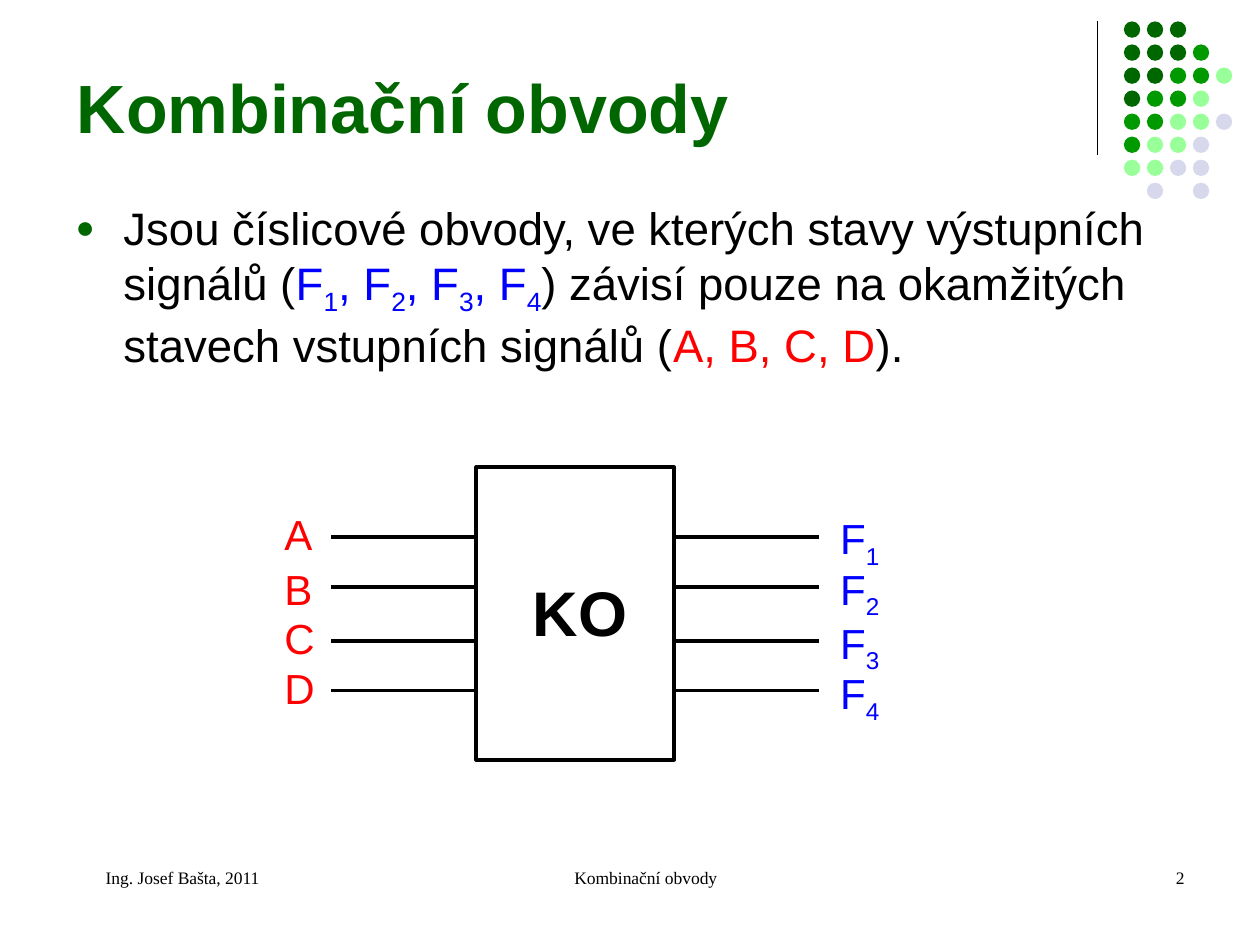
from lxml.etree import SubElement
from pptx import Presentation
from pptx.dml.color import RGBColor
from pptx.enum.shapes import MSO_CONNECTOR as CONNECTOR, MSO_SHAPE as SHAPE
from pptx.enum.text import MSO_ANCHOR as ANCHOR, MSO_AUTO_SIZE as AUTO_SIZE, PP_ALIGN as ALIGN
from pptx.oxml.ns import qn
from pptx.util import Inches, Pt

COLORS = {
    "ink": "000000", "input": "FF0000", "output": "0000FF",
    "dark": "006600", "mid": "009900", "light": "99FF99", "pale": "D8D8EC",
}
FORMATS = {
    "title": {"name": "Arial", "size": Pt(39), "bold": True},
    "body": {"name": "Arial", "size": Pt(26), "bold": False},
    "label": {"name": "Arial", "size": Pt(24), "bold": False},
    "block": {"name": "Arial", "size": Pt(36), "bold": True},
    "footer": {"name": "Times New Roman", "size": Pt(10), "bold": False},
}
DOT_COLORS = {"D": "dark", "M": "mid", "L": "light", "P": "pale"}
DOT_ROWS = ["DDD", "DDDM", "DDMML", "DMML", "MMLLP", "MLLP", "LLPP", " P P"]
SIGNALS = [
    ("A", "1", 0.55, 0.28, 0.31),
    ("B", "2", 0.95, 0.71, 0.71),
    ("C", "3", 1.38, 1.10, 1.14),
    ("D", "4", 1.77, 1.50, 1.54),
]


def color(key):
    return RGBColor.from_string(COLORS[key])


def place(shape, box):
    shape.left, shape.top, shape.width, shape.height = (Inches(v) for v in box)


def write(paragraph, runs, style):
    for text, tint, *subscript in runs:
        run = paragraph.add_run()
        run.text = text
        for attribute, value in FORMATS[style].items():
            setattr(run.font, attribute, value)
        run.font.color.rgb = color(tint)
        if subscript:
            run.font._element.set("baseline", "-25000")


def add_text(shapes, box, runs, style, align=ALIGN.LEFT):
    textbox = shapes.add_textbox(*(Inches(v) for v in box))
    textbox.text_frame.word_wrap = True
    paragraph = textbox.text_frame.paragraphs[0]
    paragraph.alignment = align
    write(paragraph, runs, style)
    return paragraph


def add_line(shapes, x1, y1, x2, y2, weight):
    line = shapes.add_connector(CONNECTOR.STRAIGHT, *(Inches(v) for v in (x1, y1, x2, y2)))
    line.line.color.rgb = color("ink")
    line.line.width = Pt(weight)
    SubElement(line._element.spPr, qn("a:effectLst"))


def add_ornament(slide, box):
    left, top, width, height = box
    add_line(slide.shapes, left, top, left, top + 1.06, 0.75)
    size = 0.13
    first = left + 0.21
    column_step = (left + width - size - first) / 4
    row_step = (height - size) / (len(DOT_ROWS) - 1)
    dots = slide.shapes.add_group_shape().shapes
    for row, codes in enumerate(DOT_ROWS):
        for column, code in enumerate(codes):
            if code == " ":
                continue
            position = first + column * column_step, top + row * row_step
            dot = dots.add_shape(SHAPE.OVAL, *(Inches(v) for v in (*position, size, size)))
            dot.shadow.inherit = False
            dot.fill.solid()
            dot.fill.fore_color.rgb = color(DOT_COLORS[code])
            dot.line.fill.background()


def add_title(slide, box):
    title = slide.shapes.title
    place(title, box)
    title.text_frame.vertical_anchor = ANCHOR.BOTTOM
    title.text_frame.auto_size = AUTO_SIZE.NONE
    heading = title.text_frame.paragraphs[0]
    heading.alignment = ALIGN.LEFT
    write(heading, [("Kombinační obvody", "dark")], "title")


def add_definition(slide, box):
    body = slide.placeholders[1]
    place(body, box)
    body.text_frame.auto_size = AUTO_SIZE.NONE
    definition = body.text_frame.paragraphs[0]
    definition.space_before = Pt(0)
    properties = definition._p.get_or_add_pPr()
    properties.set("marL", str(Inches(0.38)))
    properties.set("indent", str(-Inches(0.38)))
    bullet_color = SubElement(properties, qn("a:buClr"))
    SubElement(bullet_color, qn("a:srgbClr"), val=COLORS["dark"])
    SubElement(properties, qn("a:buSzPct"), val="70000")
    SubElement(properties, qn("a:buFont"), typeface="Arial")
    SubElement(properties, qn("a:buChar"), char="●")
    runs = [("Jsou číslicové obvody, ve kterých stavy výstupních signálů (", "ink")]
    for index, (_, number, *_) in enumerate(SIGNALS):
        runs += [(", F" if index else "F", "output"), (number, "output", True)]
    runs += [
        (") závisí pouze na okamžitých stavech vstupních signálů (", "ink"),
        (", ".join(signal[0] for signal in SIGNALS), "input"),
        (").", "ink"),
    ]
    write(definition, runs, "body")


def add_circuit(slide, box):
    left, top, width, height = box
    parts = slide.shapes.add_group_shape().shapes
    block_left, block_width, wire = left + 1.62, 1.57, 1.15
    block_right = block_left + block_width
    block = parts.add_shape(
        SHAPE.RECTANGLE, *(Inches(v) for v in (block_left, top, block_width, height)))
    block.shadow.inherit = False
    block.fill.background()
    block.line.color.rgb = color("ink")
    block.line.width = Pt(2.25)
    for letter, number, wire_y, input_y, output_y in SIGNALS:
        y = top + wire_y
        add_line(parts, block_left - wire, y, block_left, y, 2.25)
        add_line(parts, block_right, y, block_right + wire, y, 2.25)
        add_text(parts, (left, top + input_y, 0.43, 0.5), [(letter, "input")], "label")
        add_text(parts, (left + width - 0.59, top + output_y, 0.59, 0.56),
                 [("F", "output"), (number, "output", True)], "label")
    add_text(parts, (block_left + 0.35, top + 0.79, 1.02, 0.7), [("KO", "ink")], "block")


def add_footer(slide, box):
    left, top, width, height = box
    side, middle = 2.33, 3.17
    entries = [
        ("Ing. Josef Bašta, 2011", left, side, ALIGN.LEFT),
        ("Kombinační obvody", left + 2.92, middle, ALIGN.CENTER),
        ("2", left + width - side, side, ALIGN.RIGHT),
    ]
    for text, x, entry_width, align in entries:
        entry = add_text(slide.shapes, (x, top, entry_width, height),
                         [(text, "ink")], "footer", align)
        entry._p.get_or_add_pPr().set("marL", str(Inches(0.24)))


def main():
    deck = Presentation()
    deck.slide_width, deck.slide_height = Inches(10), Inches(7.5)
    slide = deck.slides.add_slide(deck.slide_layouts[1])
    add_ornament(slide, (8.71, 0.17, 1.07, 1.41))
    add_title(slide, (0.51, 0.36, 8.25, 0.86))
    add_definition(slide, (0.5, 1.54, 9, 1.81))
    add_circuit(slide, (2.16, 3.71, 5, 2.32))
    add_footer(slide, (0.5, 6.83, 9, 0.5))
    deck.save("out.pptx")


if __name__ == "__main__":
    main()
